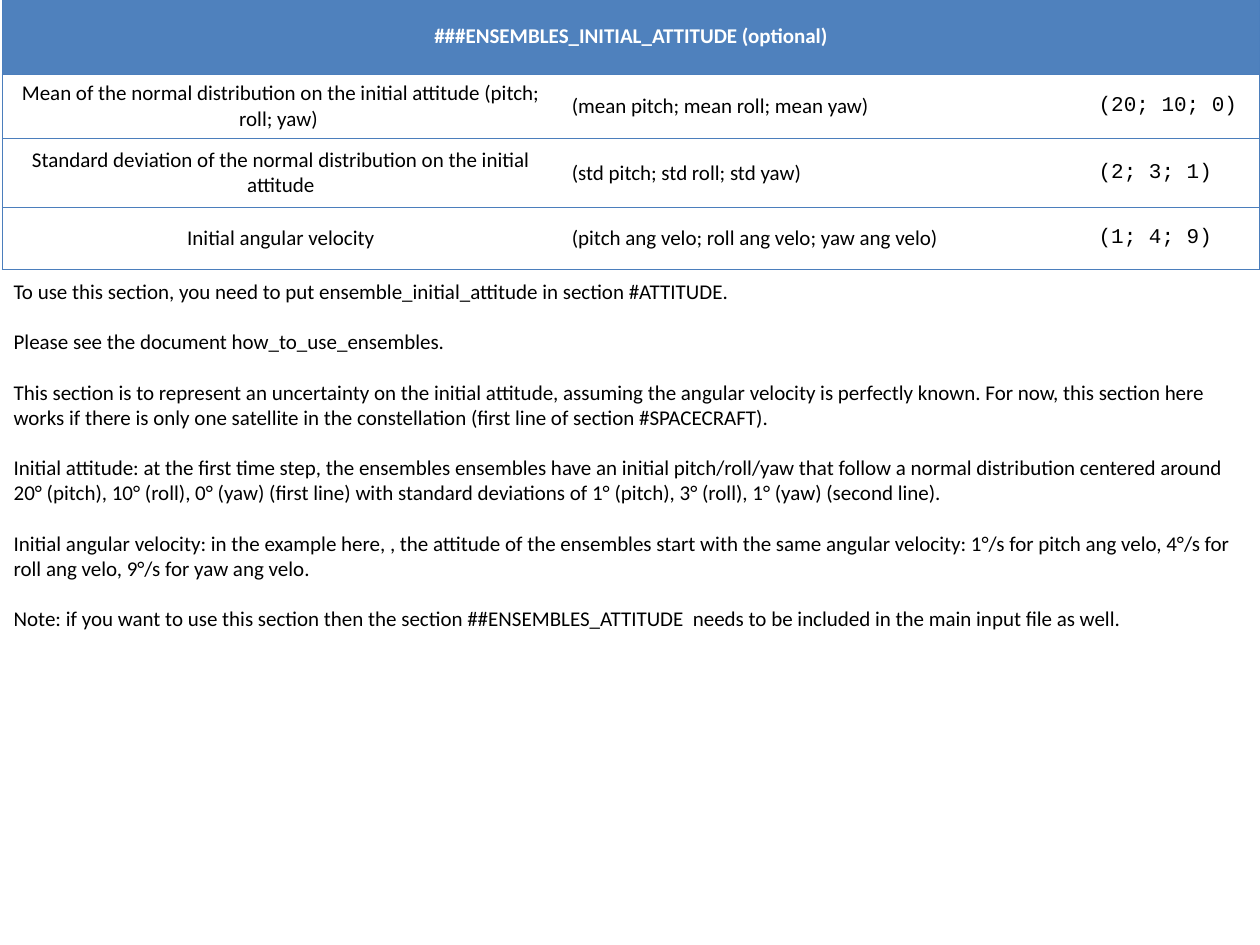
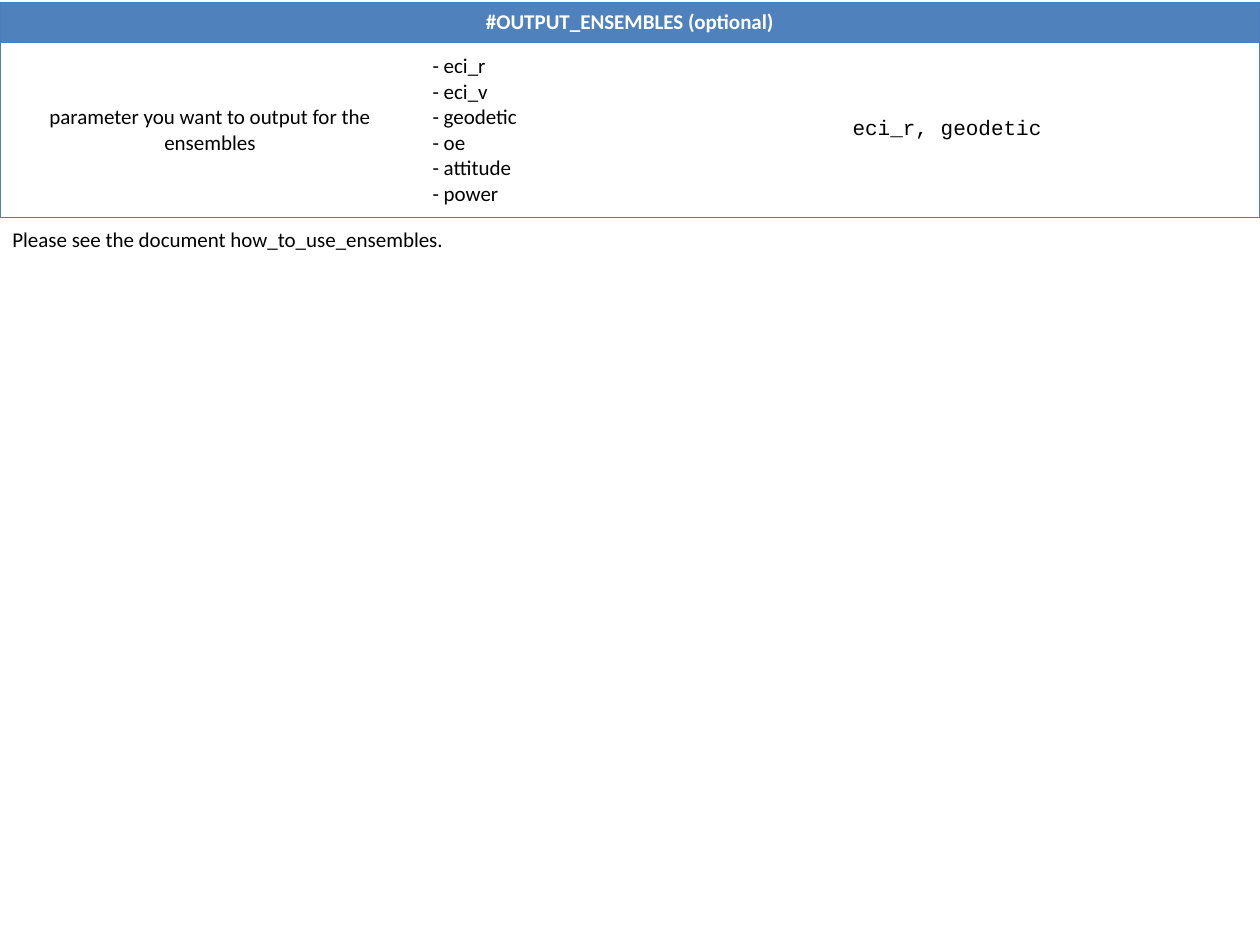
"""Build two reference slides describing the ensemble sections of an input file."""
from dataclasses import dataclass

from lxml.etree import SubElement
from pptx import Presentation
from pptx.dml.color import RGBColor as Color
from pptx.enum.text import MSO_ANCHOR as Anchor, MSO_AUTO_SIZE as AutoSize, PP_ALIGN as Align
from pptx.oxml.ns import qn
from pptx.util import Pt


@dataclass(frozen=True)
class Theme:
    band: str = "4F81BD"
    border: str = "4B7EBC"
    header_text: str = "FFFFFF"
    text: str = "000000"
    font: str = "Calibri"
    code_font: str = "Courier New"
    size: float = 12
    border_width: float = 0.75
    paragraph_gap: float = 14.4


THEME = Theme()

SECTIONS = [
    {
        "header": "###ENSEMBLES_INITIAL_ATTITUDE (optional)",
        "rows": [
            ("Mean of the normal distribution on the initial attitude (pitch; roll; yaw) ",
             "(mean pitch; mean roll; mean yaw)", "(20; 10; 0)"),
            ("Standard deviation of the normal distribution on the initial attitude",
             "(std pitch; std roll; std yaw)", "(2; 3; 1)"),
            ("Initial angular velocity",
             "(pitch ang velo; roll ang velo; yaw ang velo)", "(1; 4; 9)"),
        ],
        "origin": (1.4, -0.7),
        "widths": (318.2, 301, 99.4),
        "heights": (43.2, 36, 39.6, 35.3),
        "notes_box": (0.7, 155.5, 718.6, 225.4),
        "notes": [
            "To use this section, you need to put ensemble_initial_attitude in section #ATTITUDE.",
            "Please see the document how_to_use_ensembles.",
            "This section is to represent an uncertainty on the initial attitude, assuming the "
            "angular velocity is perfectly known. For now, this section here works if there is "
            "only one satellite in the constellation (first line of section #SPACECRAFT).",
            "Initial attitude: at the first time step, the ensembles ensembles have an initial "
            "pitch/roll/yaw that follow a normal distribution centered around 20° (pitch), "
            "10° (roll), 0° (yaw) (first line) with standard deviations of 1° (pitch), "
            "3° (roll), 1° (yaw) (second line).",
            "Initial angular velocity: in the example here, , the attitude of the ensembles start "
            "with the same angular velocity: 1°/s for pitch ang velo, 4°/s for roll ang velo, "
            "9°/s for yaw ang velo.",
            "Note: if you want to use this section then the section ##ENSEMBLES_ATTITUDE  needs "
            "to be included in the main input file as well.",
        ],
    },
    {
        "header": "#OUTPUT_ENSEMBLES (optional)",
        "rows": [
            ("parameter you want to output for the ensembles",
             "- eci_r\n- eci_v\n- geodetic\n- oe\n- attitude\n- power", "eci_r, geodetic"),
        ],
        "origin": (0, 1.4),
        "widths": (240, 240, 240),
        "heights": (23, 100.1),
        "notes_box": (0, 126, 720, 36),
        "notes": ["Please see the document how_to_use_ensembles."],
    },
]


def write_text(frame, text, color=THEME.text, font=THEME.font, bold=False, align=Align.LEFT):
    frame.text = text
    for para in frame.paragraphs:
        para.alignment = align
        for span in para.runs:
            span.font.name = font
            span.font.size = Pt(THEME.size)
            span.font.bold = bold
            span.font.color.rgb = Color.from_string(color)


def draw_borders(cell, sides):
    properties = cell._tc.get_or_add_tcPr()
    for position, side in enumerate("LRTB"):
        line = SubElement(properties, qn(f"a:ln{side}"), w=str(Pt(THEME.border_width)))
        if side in sides:
            fill = SubElement(line, qn("a:solidFill"))
            SubElement(fill, qn("a:srgbClr"), val=THEME.border)
        else:
            SubElement(line, qn("a:noFill"))
        properties.insert(position, line)


deck = Presentation()
deck.slide_width, deck.slide_height = Pt(720), Pt(540)

for section in SECTIONS:
    page = deck.slides.add_slide(deck.slide_layouts[6])
    widths, heights = section["widths"], section["heights"]
    left, top = section["origin"]
    table = page.shapes.add_table(
        len(heights), len(widths), Pt(left), Pt(top), Pt(sum(widths)), Pt(sum(heights))
    ).table
    table.horz_banding = False
    for column, width in zip(table.columns, widths):
        column.width = Pt(width)
    for row, height in zip(table.rows, heights):
        row.height = Pt(height)

    header = table.cell(0, 0)
    header.merge(table.cell(0, len(widths) - 1))
    write_text(header.text_frame, section["header"], THEME.header_text, bold=True,
               align=Align.CENTER)

    for row_index, texts in enumerate(section["rows"], start=1):
        for column_index, text in enumerate(texts):
            write_text(
                table.cell(row_index, column_index).text_frame, text,
                font=THEME.code_font if column_index == 2 else THEME.font,
                align=Align.CENTER if column_index == 0 else Align.LEFT,
            )

    for row_index, row in enumerate(table.rows):
        for column_index, cell in enumerate(row.cells):
            cell.vertical_anchor = Anchor.MIDDLE
            if row_index == 0:
                cell.fill.solid()
                cell.fill.fore_color.rgb = Color.from_string(THEME.band)
            else:
                cell.fill.background()
            outer_side = {0: "L", len(widths) - 1: "R"}.get(column_index, "")
            draw_borders(cell, "TB" + ("LR" if cell.is_merge_origin else outer_side))

    notes = page.shapes.add_textbox(*map(Pt, section["notes_box"])).text_frame
    notes.word_wrap = True
    notes.auto_size = AutoSize.SHAPE_TO_FIT_TEXT
    write_text(notes, "\n".join(section["notes"]))
    for para in notes.paragraphs[:-1]:
        para.space_after = Pt(THEME.paragraph_gap)

deck.save("out.pptx")
